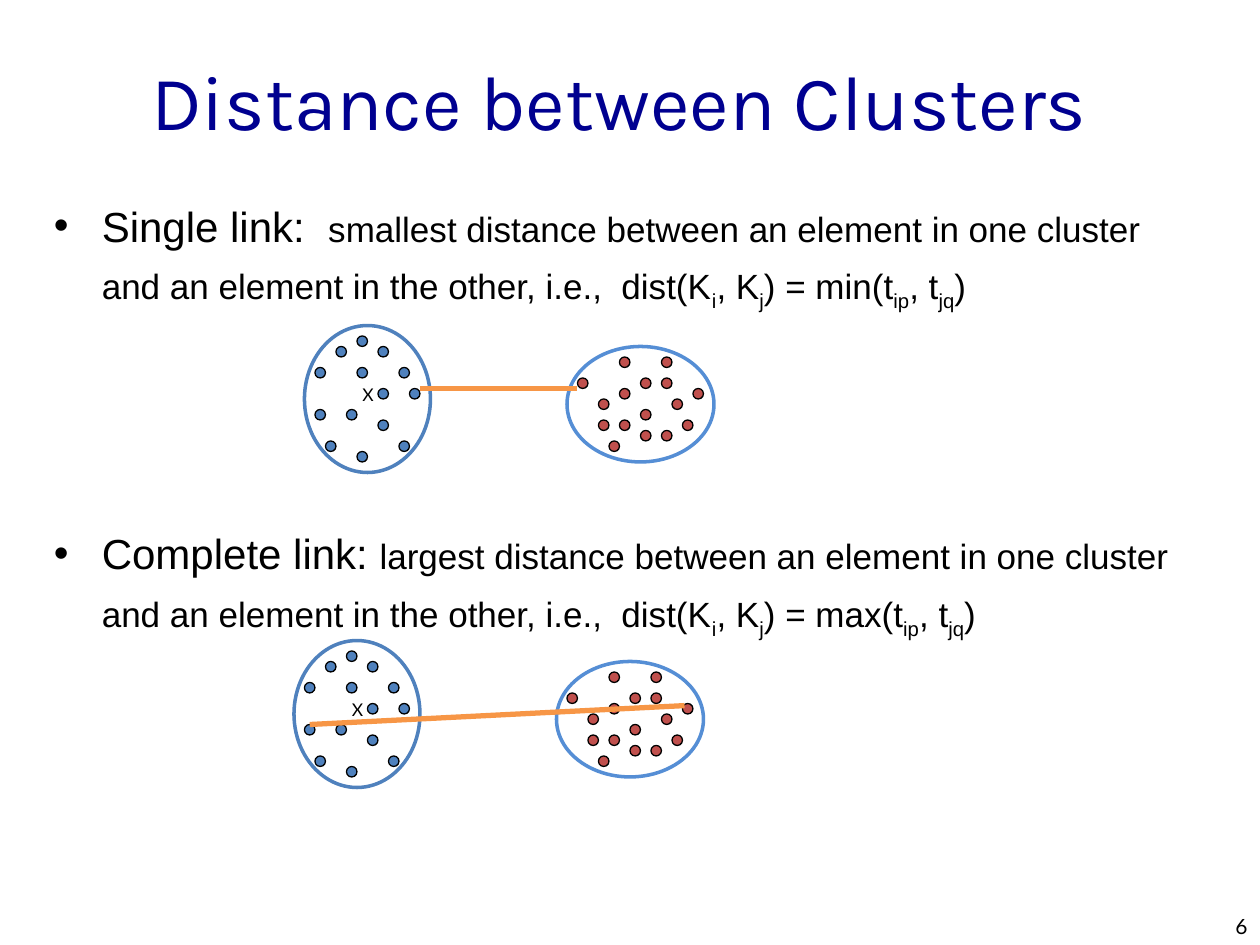
from dataclasses import dataclass

from lxml.etree import SubElement
from pptx import Presentation
from pptx.dml.color import RGBColor
from pptx.enum.shapes import MSO_CONNECTOR, MSO_SHAPE
from pptx.enum.text import MSO_ANCHOR, PP_ALIGN
from pptx.oxml.ns import qn
from pptx.util import Inches, Pt


@dataclass(frozen=True)
class Theme:
    title_font: str = "Karla"
    body_font: str = "Arial"
    label_font: str = "Lato"
    title_size: int = 44
    term_size: int = 24
    body_size: int = 20
    number_size: int = 12
    mark_size: int = 10
    title: str = "000090"
    ink: str = "000000"
    paper: str = "FFFFFF"
    link: str = "F79646"


@dataclass(frozen=True)
class Cluster:
    columns: int
    rows: int
    outline: str
    dot_fill: str
    dots: tuple
    mark: tuple | None = None  # column and row of the centre label


@dataclass(frozen=True)
class Linkage:
    term: str
    function: str
    definition: str
    text_top: float  # inches
    left_cluster: tuple  # column and row
    link: tuple  # start and end, as column and row


THEME = Theme()
CELL = 1 / 12  # grid step in inches
SLIDE_WIDTH, SLIDE_HEIGHT = 10, 7.5
CLUSTER_GAP = (25, 2)  # columns and rows from the left cluster to the right one

LEFT = Cluster(12, 14, "4F81BD", "4F81BD", (
    (3, 2), (5, 4), (7, 9), (10, 6), (1, 8), (1, 4), (7, 2),
    (9, 4), (4, 8), (7, 6), (5, 12), (5, 1), (2, 11), (9, 11)), (5.5, 5))
RIGHT = Cluster(14, 11, "558ED5", "C0504D", (
    (5, 4), (7, 8), (9, 3), (7, 6), (9, 1), (3, 7), (5, 1), (1, 3),
    (7, 3), (3, 5), (5, 7), (9, 8), (11, 7), (12, 4), (10, 5), (4, 9)))

LINKAGES = (
    Linkage("Single link:  ", "min", "smallest", 1.42, (29, 31), ((40, 37), (55, 37))),
    Linkage("Complete link: ", "max", "largest", 4.02, (28, 61), ((29.5, 69), (65.2, 67.2))),
)


def cells(*counts: float) -> list:
    return [Inches(count * CELL) for count in counts]


def style(span, font: str, size: int, color: str) -> None:
    span.font.name = font
    span.font.size = Pt(size)
    span.font.color.rgb = RGBColor.from_string(color)


def add_label(shapes, bounds, text: str, font: str, size: int, color: str,
              align, anchor=MSO_ANCHOR.TOP, wrap: bool = True) -> None:
    frame = shapes.add_textbox(*bounds).text_frame
    frame.word_wrap = wrap
    frame.vertical_anchor = anchor
    frame.text = text
    para = frame.paragraphs[0]
    para.alignment = align
    style(para.runs[0], font, size, color)


def add_bullet(para) -> None:
    properties = para._p.get_or_add_pPr()
    properties.set("marL", str(Inches(0.38)))
    properties.set("indent", str(-Inches(0.38)))
    color = SubElement(properties, qn("a:buClr"))
    SubElement(color, qn("a:srgbClr"), val=THEME.ink)
    SubElement(properties, qn("a:buFont"), typeface=THEME.body_font)
    SubElement(properties, qn("a:buChar"), char="•")


def add_definition(shapes, linkage: Linkage) -> None:
    box = shapes.add_textbox(Inches(0.33), Inches(linkage.text_top), Inches(9.17), Inches(1.2))
    box.text_frame.word_wrap = True
    para = box.text_frame.paragraphs[0]
    para.line_spacing = 1.3
    para.space_before = Pt(5)
    add_bullet(para)
    para.add_run().text = linkage.term
    style(para.runs[0], THEME.body_font, THEME.term_size, THEME.ink)
    sentence = (f"{linkage.definition} distance between an element in one cluster "
                "and an element in the other, i.e.,  dist(K")
    pieces = (sentence, "i", ", K", "j", f") = {linkage.function}(t", "ip", ", t", "jq", ")")
    for index, piece in enumerate(pieces):
        span = para.add_run()
        span.text = piece
        style(span, THEME.body_font, THEME.body_size, THEME.ink)
        if index % 2:  # every second piece is a subscript
            span.font._element.set("baseline", "-25000")


def add_ellipse(shapes, bounds, fill: str, line: str, weight: float) -> None:
    ellipse = shapes.add_shape(MSO_SHAPE.OVAL, *bounds)
    ellipse.shadow.inherit = False
    ellipse.fill.solid()
    ellipse.fill.fore_color.rgb = RGBColor.from_string(fill)
    ellipse.line.color.rgb = RGBColor.from_string(line)
    ellipse.line.width = Pt(weight)


def add_cluster(shapes, cluster: Cluster, column: int, row: int) -> None:
    members = shapes.add_group_shape().shapes
    add_ellipse(members, cells(column, row, cluster.columns, cluster.rows),
                THEME.paper, cluster.outline, 2)
    for dot_column, dot_row in cluster.dots:
        add_ellipse(members, cells(column + dot_column, row + dot_row, 1, 1),
                    cluster.dot_fill, THEME.ink, 0.75)
    if cluster.mark:
        mark_column, mark_row = cluster.mark
        add_label(members, cells(column + mark_column, row + mark_row, 0.6, 3.2), "X",
                  THEME.label_font, THEME.mark_size, THEME.ink, PP_ALIGN.CENTER, wrap=False)


def add_link(shapes, start: tuple, end: tuple) -> None:
    link = shapes.add_connector(MSO_CONNECTOR.STRAIGHT, *cells(*start, *end))
    link.line.color.rgb = RGBColor.from_string(THEME.link)
    link.line.width = Pt(3)
    SubElement(link._element.spPr, qn("a:effectLst"))


def main() -> None:
    deck = Presentation()
    deck.slide_width, deck.slide_height = Inches(SLIDE_WIDTH), Inches(SLIDE_HEIGHT)
    shapes = deck.slides.add_slide(deck.slide_layouts[6]).shapes

    # Title
    add_label(shapes, cells(2, 4, 114, 11), "Distance between Clusters", THEME.title_font,
              THEME.title_size, THEME.title, PP_ALIGN.CENTER, MSO_ANCHOR.MIDDLE)

    # Definitions, each with its pair of clusters and the measured link
    for linkage in LINKAGES:
        add_definition(shapes, linkage)
        column, row = linkage.left_cluster
        add_cluster(shapes, LEFT, column, row)
        add_cluster(shapes, RIGHT, column + CLUSTER_GAP[0], row + CLUSTER_GAP[1])
        add_link(shapes, *linkage.link)

    # Slide number
    add_label(shapes, cells(95, 85, 25, 5), "6", THEME.label_font, THEME.number_size,
              THEME.ink, PP_ALIGN.RIGHT, MSO_ANCHOR.BOTTOM)

    deck.save("out.pptx")


if __name__ == "__main__":
    main()
